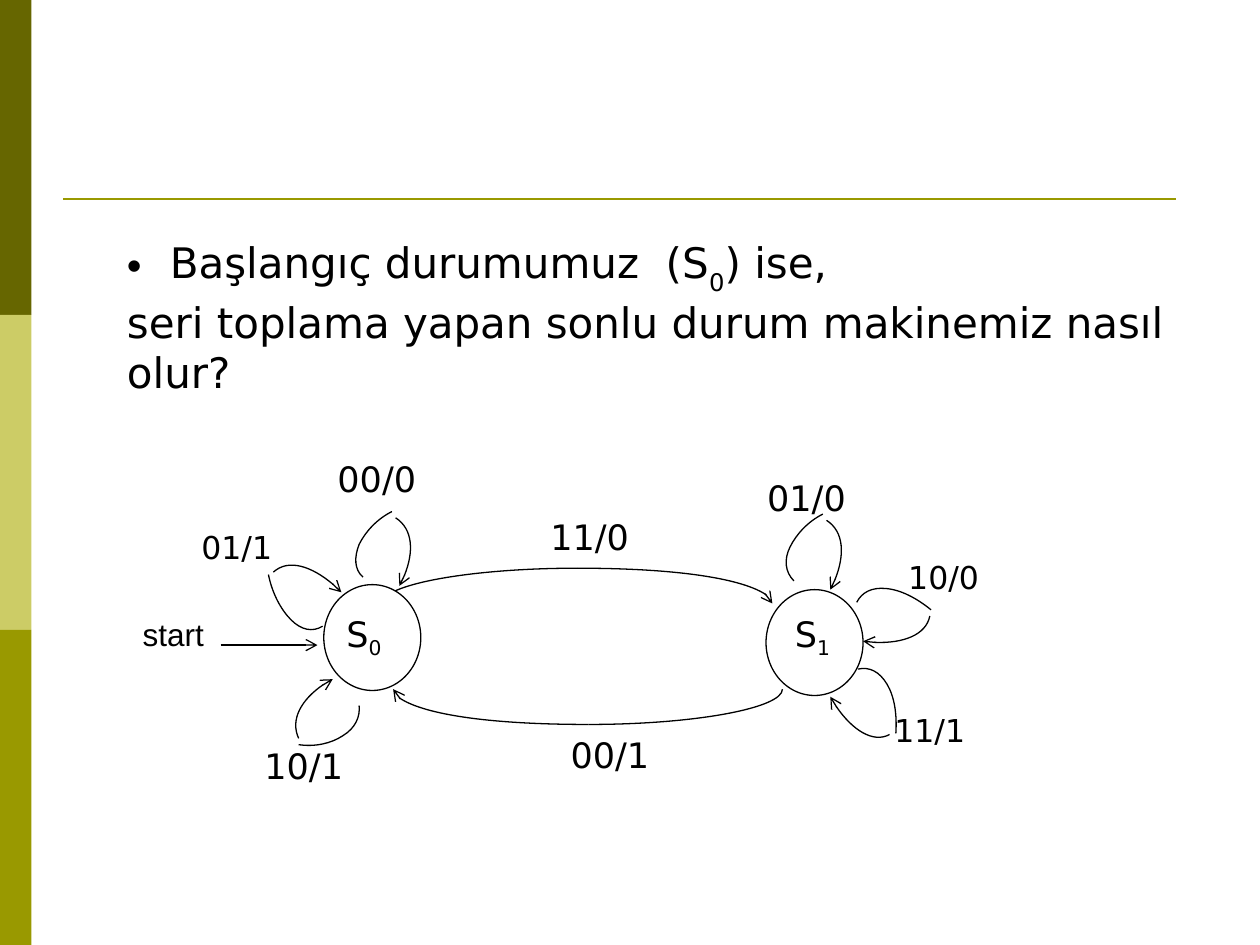
import math

import pptx
import pptx.dml.color
import pptx.enum.shapes
import pptx.enum.text
import pptx.oxml.ns
import pptx.util
from lxml import etree

PX = 9144  # EMU per px, 100 px to the inch
BLACK = pptx.dml.color.RGBColor(0, 0, 0)
WHITE = pptx.dml.color.RGBColor(255, 255, 255)
DARK = pptx.dml.color.RGBColor(0x66, 0x66, 0x00)
LIGHT = pptx.dml.color.RGBColor(0xCC, 0xCC, 0x66)
OLIVE = pptx.dml.color.RGBColor(0x99, 0x99, 0x00)
MSO = pptx.enum.shapes.MSO_SHAPE
STRAIGHT = pptx.enum.shapes.MSO_CONNECTOR.STRAIGHT
qn = pptx.oxml.ns.qn

prs = pptx.Presentation()
prs.slide_width, prs.slide_height = 1000 * PX, 750 * PX
s = prs.slides.add_slide(prs.slide_layouts[6])


def set_line(sp, color=BLACK, width=0.75, arrow=None):
    # arrow is None, "head" (at the start) or "tail" (at the end)
    sp.line.color.rgb = color
    sp.line.width = pptx.util.Pt(width)
    if arrow:
        ln = sp._element.spPr.find(qn("a:ln"))
        etree.SubElement(ln, qn(f"a:{arrow}End"), type="arrow")
    if sp._element.spPr.find(qn("a:effectLst")) is None:
        etree.SubElement(sp._element.spPr, qn("a:effectLst"))


def add_runs(p, text, size, font="DejaVu Sans", base=-25):
    # Every second piece between underscores is a subscript
    for i, part in enumerate(text.split("_")):
        if not part:
            continue
        r = p.add_run()
        r.text = part
        r.font.size, r.font.name = pptx.util.Pt(size), font
        r.font.color.rgb = BLACK
        if i % 2:
            r._r.get_or_add_rPr().set("baseline", str(base * 1000))


# Side bands and rule under the title area
for i, color in enumerate((DARK, LIGHT, OLIVE)):
    sp = s.shapes.add_shape(MSO.RECTANGLE, 0, i * 250 * PX, 25 * PX, 250 * PX)
    sp.shadow.inherit = False
    sp.fill.solid()
    sp.fill.fore_color.rgb = color
    sp.line.fill.background()
rule = s.shapes.add_connector(STRAIGHT, 50 * PX, 158 * PX, 933 * PX, 158 * PX)
set_line(rule, OLIVE, 1.5)

# Question
tf = s.shapes.add_textbox(91 * PX, 183 * PX, 877 * PX, 97 * PX).text_frame
tf.word_wrap = True
p = tf.paragraphs[0]
pPr = p._p.get_or_add_pPr()
pPr.set("marL", str(34 * PX))
pPr.set("indent", str(-34 * PX))
clr = etree.SubElement(pPr, qn("a:buClr"))
etree.SubElement(clr, qn("a:srgbClr"), val="000000")
etree.SubElement(pPr, qn("a:buFont"), typeface="Arial")
etree.SubElement(pPr, qn("a:buChar"), char="•")
add_runs(p, "Başlangıç durumumuz  (S_0_) ise,", 24, base=-30)
p = tf.add_paragraph()
add_runs(p, "seri toplama yapan sonlu durum makinemiz nasıl olur?", 24)

# Curves: frame, rotation, arrow, then Bezier points as they lie on the slide
upper = [
    ((304, 451, 309, 56), 0, "tail",
     [(458, 451), (543, 451), (613, 464), (613, 479)]),
    ((303, 451, 309, 56), 0, None,
     [(458, 451), (373, 451), (303, 464), (303, 479)]),
]
lower_and_loops = [
    ((312, 519, 309, 56), 0, "tail",
     [(467, 575), (381, 575), (312, 562), (312, 547)]),
    ((312, 519, 309, 56), 0, None,
     [(467, 575), (552, 575), (621, 562), (621, 547)]),
    # S0 loops: 01/1, 10/1, 00/0
    ((194, 423, 98, 55), 78.8, None,
     [(256, 497), (248, 502), (239, 500), (231, 492),
      (223, 484), (216, 471), (213, 456)]),
    ((202, 461, 98, 56), 226.6, "head",
     [(271, 470), (253, 451), (229, 443), (217, 454)]),
    ((195, 530, 90, 60), 5.2, None,
     [(285, 560), (286, 569), (282, 578), (272, 584),
      (263, 590), (250, 593), (237, 591)]),
    ((232, 536, 90, 60), 153, "head",
     [(264, 539), (242, 550), (230, 571), (237, 586)]),
    ((281, 405, 90, 60), 152.5, None,
     [(288, 458), (281, 452), (281, 442), (285, 432),
      (290, 422), (299, 412), (311, 406)]),
    ((246, 420, 90, 60), 300.3, "head",
     [(317, 465), (329, 444), (328, 420), (314, 411)]),
    # S1 loops: 01/0, 10/0, 11/1
    ((623, 407, 90, 60), 152.5, None,
     [(630, 461), (623, 454), (622, 444), (627, 434),
      (632, 424), (641, 414), (653, 408)]),
    ((588, 422, 90, 60), 300.3, "head",
     [(659, 468), (671, 446), (670, 422), (656, 413)]),
    ((671, 479, 98, 56), 220.3, None,
     [(680, 478), (684, 470), (692, 466), (703, 467),
      (715, 468), (728, 475), (739, 484)]),
    ((640, 454, 98, 56), 8.1, "head",
     [(685, 509), (712, 513), (735, 504), (738, 489)]),
    ((632, 552, 98, 55), 274.2, None,
     [(681, 531), (690, 529), (698, 533), (704, 543),
      (710, 553), (712, 567), (711, 582)]),
    ((635, 512, 98, 55), 62, "head",
     [(659, 553), (672, 577), (693, 590), (706, 583)]),
]
for curves in (upper, lower_and_loops):
    for (x, y, w, h), angle, arrow, pts in curves:
        # Turn the points back into the frame, which is then rotated
        cos, sin = math.cos(math.radians(angle)), math.sin(math.radians(angle))
        local = []
        for px, py in pts:
            dx, dy = px - x - w / 2, py - y - h / 2
            local.append((round((w / 2 + dx * cos + dy * sin) * PX),
                          round((h / 2 - dx * sin + dy * cos) * PX)))
        fb = s.shapes.build_freeform(*local[0])
        fb.add_line_segments(local[1:], close=False)
        sp = fb.convert_to_shape()

        # Make the outline a Bezier curve inside the full frame
        outline = next(sp._element.iter(qn("a:path")))
        for child in list(outline):
            outline.remove(child)
        outline.set("w", str(w * PX))
        outline.set("h", str(h * PX))
        groups = [("a:moveTo", local[:1])]
        groups += [("a:cubicBezTo", local[k:k + 3])
                   for k in range(1, len(local), 3)]
        for tag, points in groups:
            segment = etree.SubElement(outline, qn(tag))
            for px, py in points:
                etree.SubElement(segment, qn("a:pt"), x=str(px), y=str(py))

        sp.left, sp.top, sp.width, sp.height = x * PX, y * PX, w * PX, h * PX
        sp.rotation = angle
        sp.shadow.inherit = False
        sp.fill.background()
        set_line(sp, arrow=arrow)

    # State circles cover the ends of the upper arc
    if curves is upper:
        for x, y in ((257, 464), (608, 468)):
            sp = s.shapes.add_shape(MSO.OVAL, x * PX, y * PX, 77 * PX, 84 * PX)
            sp.shadow.inherit = False
            sp.fill.solid()
            sp.fill.fore_color.rgb = WHITE
            set_line(sp)

# Start arrow
start = s.shapes.add_connector(STRAIGHT, 175 * PX, 512 * PX, 252 * PX, 512 * PX)
set_line(start, arrow="tail")

# State names and transition labels
for text, x, y, w, h, size in (
    ("S_0_", 265, 481, 77, 84, 20),
    ("S_1_", 621, 481, 77, 84, 20),
    ("01/0", 599, 373, 129, 56, 20),
    ("10/0", 711, 438, 129, 84, 18),
    ("11/1", 700, 559, 129, 56, 18),
    ("11/0", 427, 404, 103, 84, 20),
    ("00/1", 443, 577, 129, 84, 20),
    ("00/0", 258, 358, 103, 56, 20),
    ("01/1", 150, 414, 129, 84, 18),
    ("10/1", 200, 586, 129, 84, 20),
    ("start", 100, 483, 75, 40, 18),
):
    tf = s.shapes.add_textbox(x * PX, y * PX, w * PX, h * PX).text_frame
    tf.word_wrap = True
    p = tf.paragraphs[0]
    if text == "start":
        p.alignment = pptx.enum.text.PP_ALIGN.CENTER
        add_runs(p, text, size, "Arial")
    else:
        add_runs(p, text, size)

prs.save("out.pptx")
